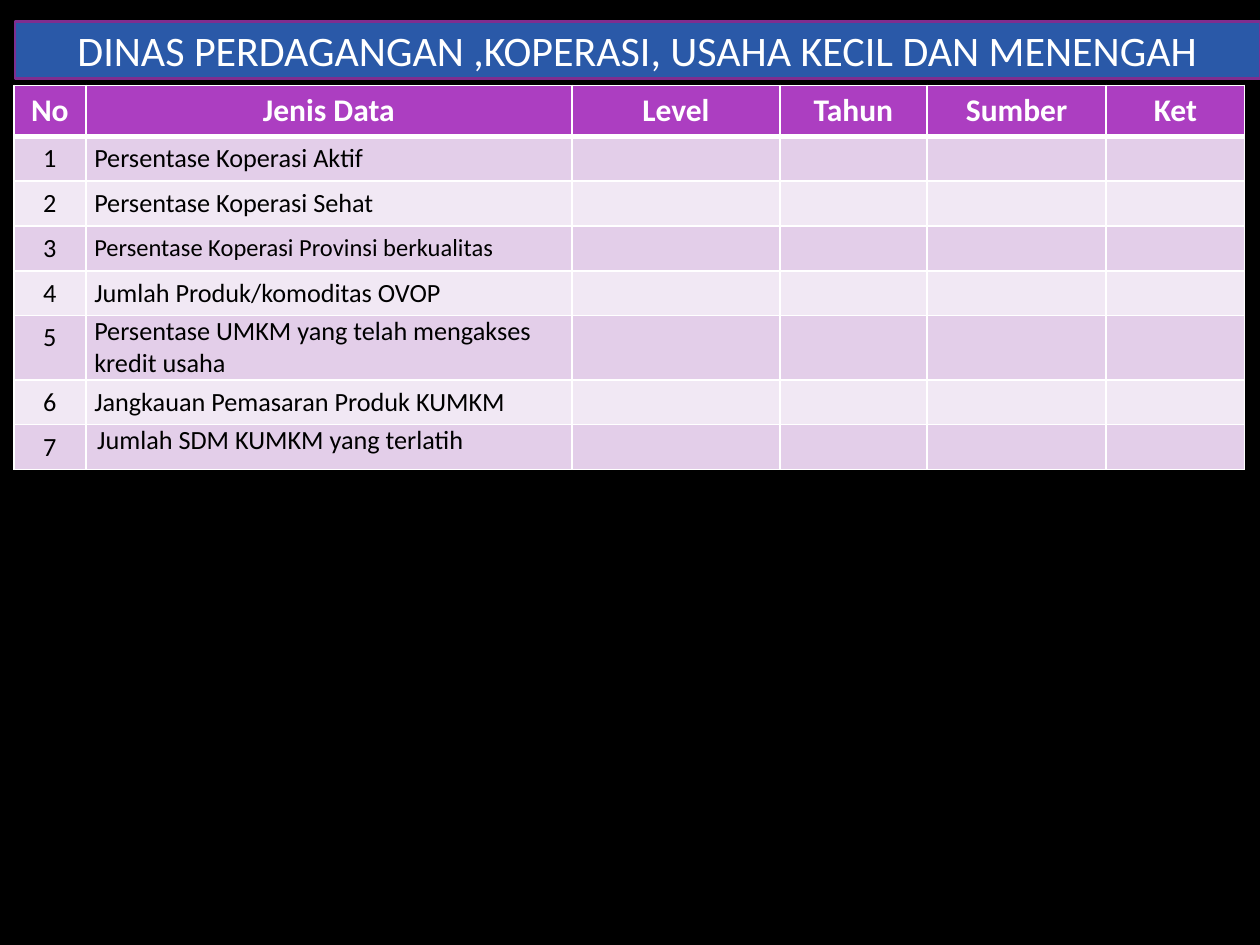
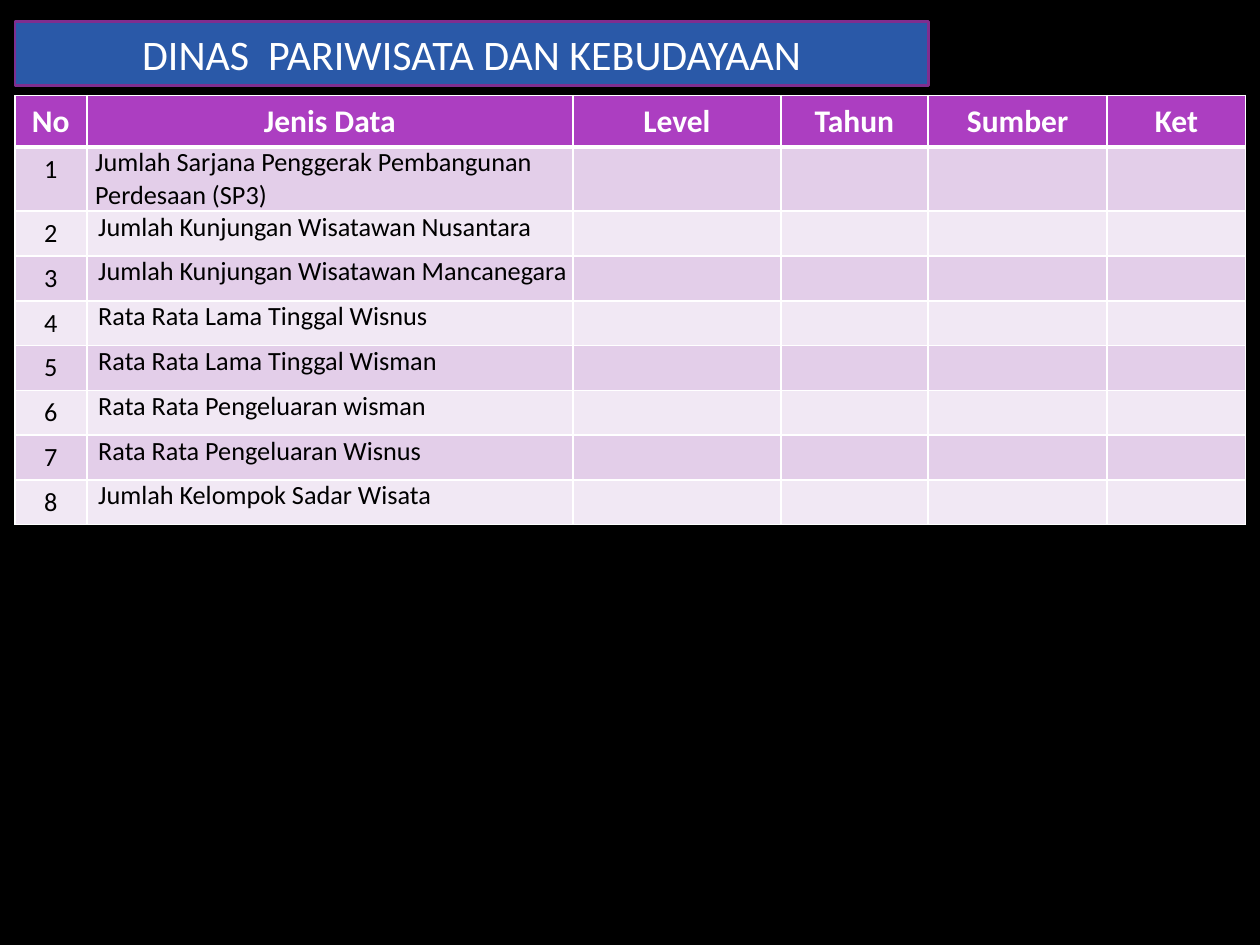
from dataclasses import dataclass

from lxml.etree import SubElement
from pptx import Presentation
from pptx.dml.color import RGBColor
from pptx.enum.text import MSO_ANCHOR as Anchor, MSO_AUTO_SIZE as AutoSize, PP_ALIGN as Align
from pptx.oxml import parse_xml
from pptx.oxml.ns import nsdecls, qn
from pptx.util import Cm, Pt

COLOURS = {
    "background": "000000",
    "banner": "2A59A8",
    "banner_line": "7F2E8F",
    "header": "AC3EC1",
    "odd_row": "E3CEE9",
    "even_row": "F1E8F4",
    "light": "FFFFFF",
    "dark": "000000",
}
FONT = "Calibri"
HEADINGS = ["No", "Jenis Data", "Level", "Tahun", "Sumber", "Ket"]
COLUMN_WIDTHS = [1.45, 9.8, 4.19, 2.97, 3.61, 2.79]
HEADER_HEIGHT, ROW_HEIGHT = 0.91, 0.84
BANNER_LEFT, BANNER_TOP = 0.3, 0.43


@dataclass
class Entry:
    text: str
    indented: bool = False
    size: float = 15


@dataclass
class Department:
    title: str
    banner_width: float
    banner_height: float
    table_left: float
    table_top: float
    entries: list[Entry]


DEPARTMENTS = [
    Department("DINAS PERDAGANGAN ,KOPERASI, USAHA KECIL DAN MENENGAH", 25.1, 1.15, 0.28, 1.72, [
        Entry("Persentase Koperasi Aktif"),
        Entry("Persentase Koperasi Sehat"),
        Entry("Persentase Koperasi Provinsi berkualitas", size=14),
        Entry("Jumlah Produk/komoditas OVOP"),
        Entry("Persentase UMKM yang telah mengakses kredit usaha"),
        Entry("Jangkauan Pemasaran Produk KUMKM"),
        Entry("Jumlah SDM KUMKM yang terlatih", indented=True),
    ]),
    Department("DINAS  PARIWISATA DAN KEBUDAYAAN", 18.42, 1.3, 0.3, 1.93, [
        Entry("Jumlah Sarjana Penggerak Pembangunan Perdesaan (SP3)"),
        Entry("Jumlah Kunjungan Wisatawan Nusantara", indented=True),
        Entry("Jumlah Kunjungan Wisatawan Mancanegara", indented=True),
        Entry("Rata Rata Lama Tinggal Wisnus", indented=True),
        Entry("Rata Rata Lama Tinggal Wisman", indented=True),
        Entry("Rata Rata Pengeluaran wisman", indented=True),
        Entry("Rata Rata Pengeluaran Wisnus", indented=True),
        Entry("Jumlah Kelompok Sadar Wisata", indented=True),
    ]),
]


def colour(name: str) -> RGBColor:
    return RGBColor.from_string(COLOURS[name])


def paint(fill, name: str) -> None:
    fill.solid()
    fill.fore_color.rgb = colour(name)


def write(frame, text: str, *, size: float = 15, ink: str = "dark", bold: bool = False,
          align=Align.LEFT, spacing: float = 0, indent: float = 0) -> None:
    para = frame.paragraphs[0]
    para.alignment = align
    para.space_before = para.space_after = Pt(spacing)
    if indent:
        para._p.get_or_add_pPr().set("marL", str(Cm(indent)))
    if text:
        span = para.add_run()
        span.text = text
        span.font.name, span.font.size, span.font.bold = FONT, Pt(size), bold
        span.font.color.rgb = colour(ink)
    SubElement(para._p, qn("a:endParaRPr")).set("sz", str(int(size * 100)))


def add_borders(cell, top: float = 1, bottom: float = 1) -> None:
    properties = cell._tc.get_or_add_tcPr()
    for side, width in (("L", 1), ("R", 1), ("T", top), ("B", bottom)):
        properties.append(parse_xml(
            f'<a:ln{side} {nsdecls("a")} w="{Pt(width)}"><a:solidFill>'
            f'<a:srgbClr val="{COLOURS["light"]}"/></a:solidFill></a:ln{side}>'))


def set_margins(cell, horizontal: float) -> None:
    cell.margin_left = cell.margin_right = Cm(horizontal)
    cell.margin_top = cell.margin_bottom = Cm(0)


def add_banner(page, department: Department) -> None:
    banner = page.shapes.title
    banner.left, banner.top = Cm(BANNER_LEFT), Cm(BANNER_TOP)
    banner.width, banner.height = Cm(department.banner_width), Cm(department.banner_height)
    outline = parse_xml(f'<a:prstGeom {nsdecls("a")} prst="roundRect"><a:avLst/></a:prstGeom>')
    banner.element.spPr.insert(1, outline)
    paint(banner.fill, "banner")
    banner.line.color.rgb = colour("banner_line")
    banner.line.width = Pt(1.5)
    frame = banner.text_frame
    frame.auto_size = AutoSize.NONE
    frame.word_wrap = True
    frame.vertical_anchor = Anchor.MIDDLE
    write(frame, department.title, size=24, ink="light", align=Align.CENTER)


def fill_entry(cell, entry: Entry) -> None:
    if entry.indented:
        set_margins(cell, 0)
        write(cell.text_frame, entry.text, size=entry.size, indent=0.23)
    else:
        set_margins(cell, 0.17)
        cell.vertical_anchor = Anchor.MIDDLE
        write(cell.text_frame, entry.text, size=entry.size, spacing=4.8)


def add_data_table(page, department: Department) -> None:
    entries = department.entries
    height = HEADER_HEIGHT + ROW_HEIGHT * len(entries)
    table = page.shapes.add_table(
        len(entries) + 1, len(HEADINGS), Cm(department.table_left), Cm(department.table_top),
        Cm(sum(COLUMN_WIDTHS)), Cm(height)).table
    table.first_row = table.horz_banding = False
    for column, width in zip(table.columns, COLUMN_WIDTHS):
        column.width = Cm(width)
    for number, row in enumerate(table.rows):
        row.height = Cm(ROW_HEIGHT if number else HEADER_HEIGHT)
        shade = ("odd_row" if number % 2 else "even_row") if number else "header"
        for index, cell in enumerate(row.cells):
            add_borders(cell, top=3 if number == 1 else 1, bottom=1 if number else 3)
            paint(cell.fill, shade)
            if number == 0:
                write(cell.text_frame, HEADINGS[index], size=18, ink="light", bold=True,
                      align=Align.CENTER)
            elif index == 1:
                fill_entry(cell, entries[number - 1])
            else:
                write(cell.text_frame, "" if index else str(number), align=Align.CENTER)


def main() -> None:
    """Build one data-requirement page for each department."""
    deck = Presentation()
    deck.slide_width, deck.slide_height = Cm(25.4), Cm(19.05)
    paint(deck.slide_master.background.fill, "background")
    title_only = deck.slide_layouts.get_by_name("Title Only")
    for department in DEPARTMENTS:
        page = deck.slides.add_slide(title_only)
        add_banner(page, department)
        add_data_table(page, department)
    deck.save("out.pptx")


if __name__ == "__main__":
    main()
